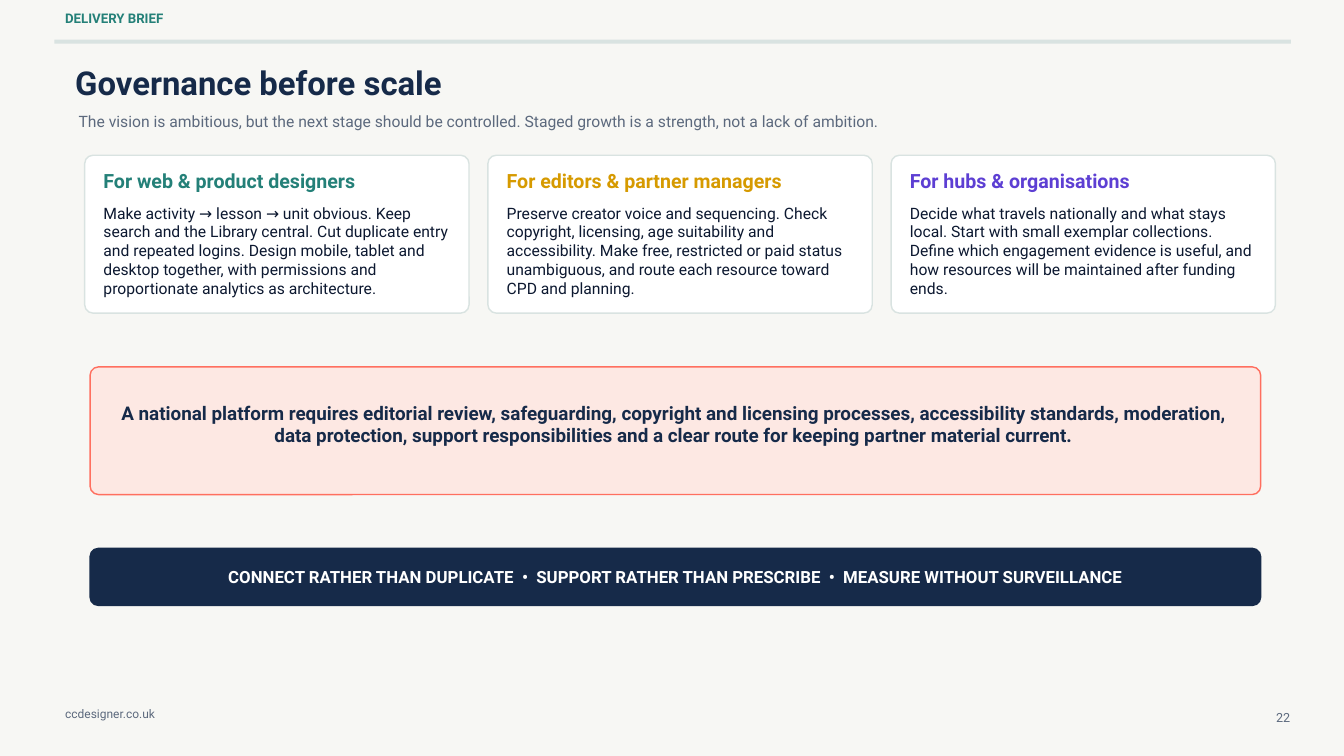
from dataclasses import dataclass

from pptx import Presentation
from pptx import util as u
from pptx.dml import color
from pptx.enum import shapes, text

FONT = "Roboto"
NAVY, INK, GREY, TEAL = "162A49", "0C1830", "5C697D", "248078"
RULE, WHITE = "D9E3E1", "FFFFFF"
CORNER = 0.125


@dataclass
class Box:
    left: float
    top: float
    width: float
    height: float


@dataclass
class Style:
    size: float
    leading: float
    hex_color: str
    bold: bool = False
    align: text.PP_ALIGN = text.PP_ALIGN.LEFT


@dataclass
class Card:
    title: str
    body: str
    accent: str


CARDS = [
    Card(
        "For web & product designers",
        "Make activity → lesson → unit obvious. Keep search and the Library central. "
        "Cut duplicate entry and repeated logins. Design mobile, tablet and desktop "
        "together, with permissions and proportionate analytics as architecture.",
        TEAL,
    ),
    Card(
        "For editors & partner managers",
        "Preserve creator voice and sequencing. Check copyright, licensing, age "
        "suitability and accessibility. Make free, restricted or paid status "
        "unambiguous, and route each resource toward CPD and planning.",
        "D69A00",
    ),
    Card(
        "For hubs & organisations",
        "Decide what travels nationally and what stays local. Start with small "
        "exemplar collections. Define which engagement evidence is useful, and how "
        "resources will be maintained after funding ends.",
        "5D3FD3",
    ),
]


def rgb(hex_color: str) -> color.RGBColor:
    return color.RGBColor.from_string(hex_color)


def emu(box: Box) -> list[u.Length]:
    return [u.Inches(v) for v in (box.left, box.top, box.width, box.height)]


def add_text(s, box: Box, content: str, style: Style) -> None:
    tf = s.shapes.add_textbox(*emu(box)).text_frame
    tf.word_wrap = True
    tf.margin_left = tf.margin_right = tf.margin_top = tf.margin_bottom = 0
    p = tf.paragraphs[0]
    p.text = content
    p.alignment = style.align
    p.line_spacing = u.Pt(style.leading)
    p.font.name = FONT
    p.font.size = u.Pt(style.size)
    p.font.bold = style.bold
    p.font.color.rgb = rgb(style.hex_color)


def add_panel(s, box: Box, fill: str, line: str) -> None:
    sp = s.shapes.add_shape(shapes.MSO_SHAPE.ROUNDED_RECTANGLE, *emu(box))
    sp.adjustments[0] = CORNER / min(box.width, box.height)
    sp.shadow.inherit = False
    sp.fill.solid()
    sp.fill.fore_color.rgb = rgb(fill)
    sp.line.color.rgb = rgb(line)
    sp.line.width = u.Pt(1.5)


def add_rule(s, box: Box) -> None:
    sp = s.shapes.add_shape(shapes.MSO_SHAPE.RECTANGLE, *emu(box))
    sp.shadow.inherit = False
    sp.fill.solid()
    sp.fill.fore_color.rgb = rgb(RULE)
    sp.line.fill.background()


def add_card(s, left: float, card: Card) -> None:
    add_panel(s, Box(left, 2.31, 5.72, 2.35), WHITE, RULE)
    inner = left + 0.28
    add_text(s, Box(inner, 2.51, 5.16, 0.49), card.title,
             Style(21, 25.2, card.accent, True))
    add_text(s, Box(inner, 3.03, 5.16, 1.36), card.body, Style(16.8, 20.1, INK))


def main() -> None:
    prs = Presentation()
    prs.slide_width, prs.slide_height = u.Inches(20), u.Inches(11.25)
    s = prs.slides.add_slide(prs.slide_layouts[6])
    s.background.fill.solid()
    s.background.fill.fore_color.rgb = rgb("F7F7F4")
    center = text.PP_ALIGN.CENTER

    add_rule(s, Box(0.81, 0.59, 18.4, 0.06))
    add_text(s, Box(0.97, 0.15, 9.3, 0.36), "DELIVERY BRIEF",
             Style(14.2, 17.1, TEAL, True))
    add_text(s, Box(18.82, 10.56, 0.38, 0.31), "22",
             Style(13.5, 16.2, GREY, align=text.PP_ALIGN.RIGHT))
    add_text(s, Box(0.97, 10.52, 3.3, 0.31), "ccdesigner.co.uk",
             Style(12.8, 15.3, GREY))
    add_text(s, Box(1.12, 0.93, 13.8, 0.72), "Governance before scale",
             Style(35.2, 42.3, NAVY, True))
    add_text(s, Box(1.17, 1.67, 17.25, 0.28),
             "The vision is ambitious, but the next stage should be controlled. "
             "Staged growth is a strength, not a lack of ambition.",
             Style(16.8, 20.1, GREY))

    for i, card in enumerate(CARDS):
        add_card(s, 1.26 + 6 * i, card)

    add_panel(s, Box(1.34, 5.46, 17.42, 1.9), "FDE8E3", "FF6F5F")
    add_text(s, Box(1.8, 5.97, 16.43, 0.63),
             "A national platform requires editorial review, safeguarding, copyright "
             "and licensing processes, accessibility standards, moderation, data "
             "protection, support responsibilities and a clear route for keeping "
             "partner material current.",
             Style(20.2, 24.3, NAVY, True, center))

    add_panel(s, Box(1.34, 8.16, 17.42, 0.85), NAVY, NAVY)
    add_text(s, Box(1.65, 8.43, 16.8, 0.24),
             "CONNECT RATHER THAN DUPLICATE  •  SUPPORT RATHER THAN PRESCRIBE  •  "
             "MEASURE WITHOUT SURVEILLANCE",
             Style(18, 21.6, WHITE, True, center))

    prs.save("out.pptx")


if __name__ == "__main__":
    main()
